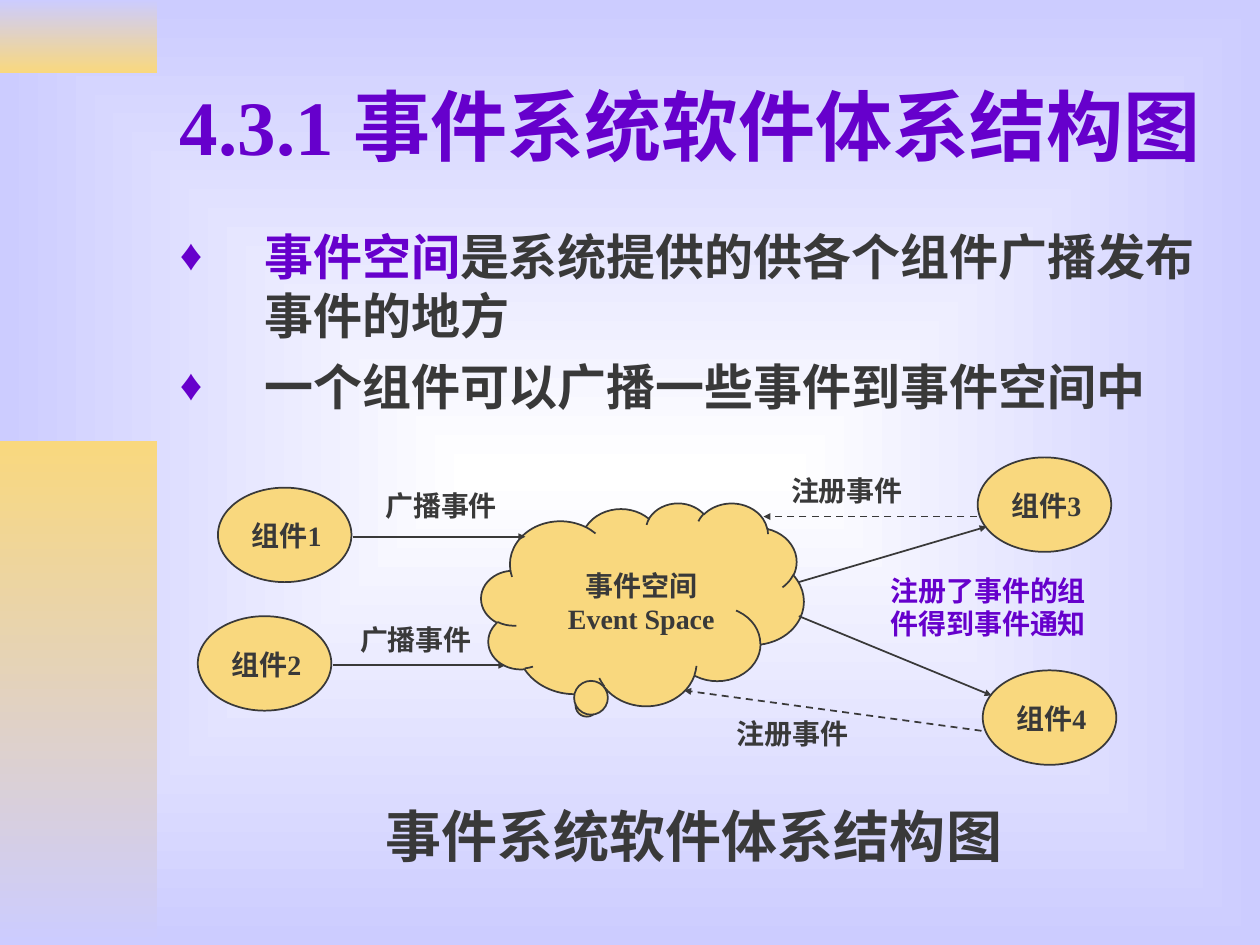
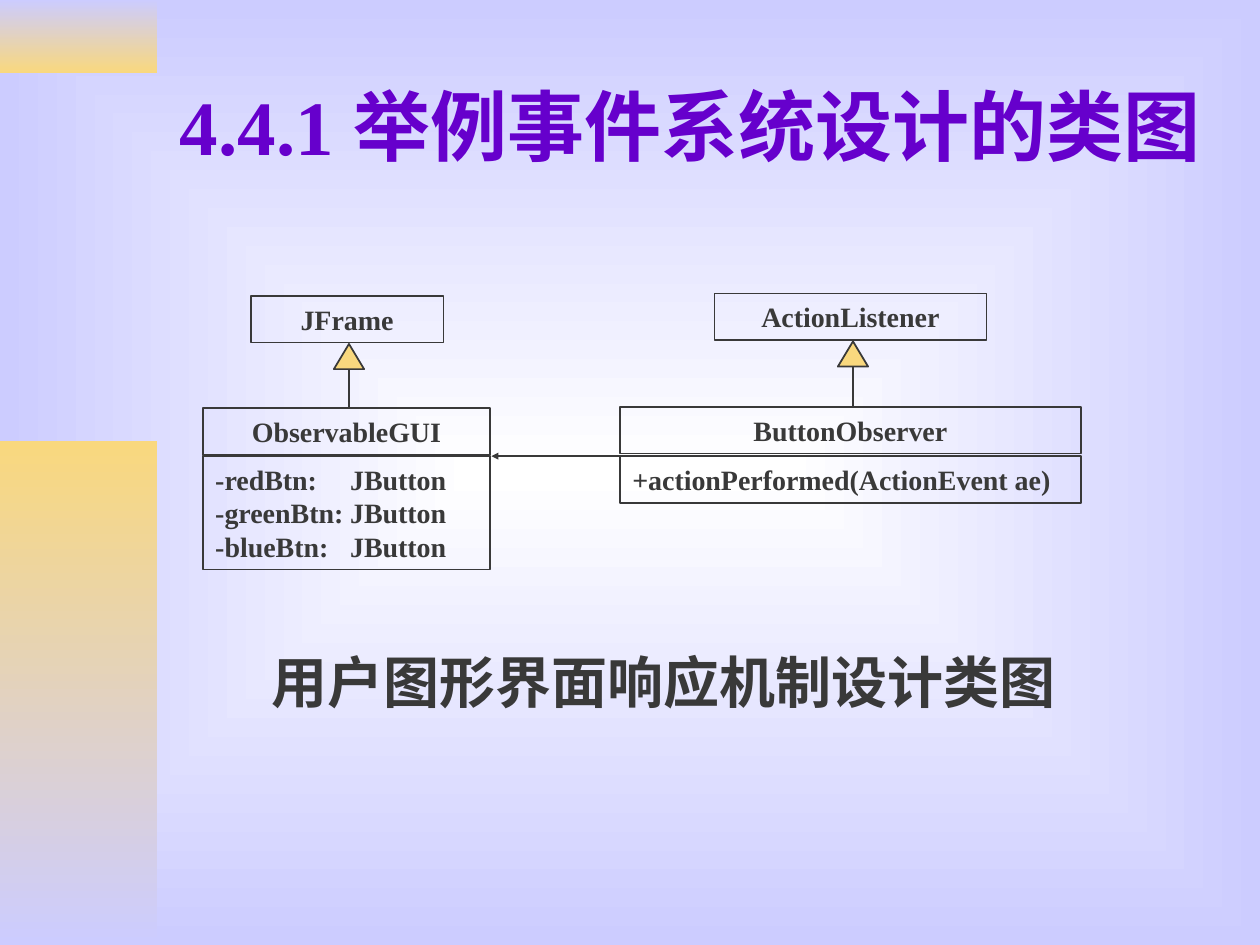
from dataclasses import dataclass

from lxml import etree
from pptx import Presentation
from pptx import util as u
from pptx.dml.color import RGBColor
from pptx.enum import dml, shapes, text as t
from pptx.oxml.ns import qn


@dataclass(frozen=True)
class Theme:
    font: str = "Times New Roman"
    ink: str = "393939"
    accent: str = "6600CC"
    gold: str = "F9D87E"
    lilac: str = "CCCCFF"
    white: str = "FFFFFF"
    title: int = 44
    caption: int = 32
    body: int = 28
    label: int = 16
    line: int = 1


THEME = Theme()

BANDS = [
    ((0, 0, 1.25, 0.58), (THEME.lilac, THEME.gold)),
    ((0, 3.5, 1.25, 4), (THEME.gold, THEME.lilac)),
]
TITLE_AREA = (1.33, 0.33, 8.5, 1.32)

EVENT_PAGE = {
    "title": "4.3.1 事件系统软件体系结构图",
    "caption": ("事件系统软件体系结构图", (1.26, 6.31, 8.5, 0.75)),
}
BULLETS = [
    [("事件空间", THEME.accent), ("是系统提供的供各个组件广播发布事件的地方", THEME.ink)],
    "一个组件可以广播一些事件到事件空间中",
]
BULLET_AREA = (1.33, 1.75, 8.5, 1.76)
CLOUD_AREA = (3.82, 3.99, 2.56, 1.61)
CLOUD_POINTER = (-0.169, 0.488)
CLOUD_TEXT = ["事件空间", "Event Space"]
CLOUD_TEXT_AREA = (4.29, 4.46, 1.6, 0.64)
COMPONENT_SIZE = (1.06, 0.75)
COMPONENTS = [
    ("组件1", 1.73, 3.87),
    ("组件2", 1.57, 4.89),
    ("组件3", 7.76, 3.63),
    ("组件4", 7.8, 5.32),
]
EVENT_ARROWS = [
    ((2.8, 4.26), (4.17, 4.26), False),
    ((2.64, 5.28), (4.01, 5.28), False),
    ((7.75, 4.1), (6.06, 4.1), True),
    ((6.34, 4.62), (7.83, 4.18), False),
    ((6.34, 4.89), (7.87, 5.52), False),
    ((7.79, 5.8), (5.43, 5.48), True),
]
EVENT_LABELS = [
    ("广播事件", (2.96, 3.83, 1.2, 0.37), THEME.ink),
    ("广播事件", (2.76, 4.89, 1.2, 0.37), THEME.ink),
    ("注册事件", (6.18, 3.71, 1.58, 0.37), THEME.ink),
    ("注册事件", (5.75, 5.64, 1.58, 0.37), THEME.ink),
    ("注册了事件的组件得到事件通知", (6.97, 4.5, 1.81, 0.64), THEME.accent),
]

CLASS_PAGE = {
    "title": "4.4.1 举例事件系统设计的类图",
    "caption": ("用户图形界面响应机制设计类图", (1.02, 5.09, 8.5, 0.98)),
}
HEADER_HEIGHT = 0.37
MEMBER_TOP = 3.62
FAMILIES = [
    {
        "parent": ("JFrame", 1.99, 2.35, 1.53),
        "child": ("ObservableGUI", 1.61, 3.24, 2.28),
        "members": ["-redBtn:\tJButton", "-greenBtn:\tJButton", "-blueBtn:\tJButton"],
        "height": 0.9,
    },
    {
        "parent": ("ActionListener", 5.67, 2.33, 2.16),
        "child": ("ButtonObserver", 4.92, 3.23, 3.66),
        "members": ["+actionPerformed(ActionEvent ae)"],
        "height": 0.37,
    },
]
OBSERVER_ARROW = ((4.92, MEMBER_TOP), (3.9, MEMBER_TOP))


def color(value):
    return RGBColor.from_string(value)


def add_xml(parent, tag, **attributes):
    return etree.SubElement(parent, qn(tag), attributes)


def write(box, content, size=THEME.label, ink=THEME.ink, align=t.PP_ALIGN.LEFT,
          anchor=t.MSO_ANCHOR.TOP, gap=0, bullet=None, tab=None):
    frame = box.text_frame
    frame.word_wrap = True
    frame.vertical_anchor = anchor
    lines = [content] if isinstance(content, str) else content
    for index, line in enumerate(lines):
        para = frame.add_paragraph() if index else frame.paragraphs[0]
        para.alignment = align
        para.space_before = u.Pt(gap if index else 0)
        properties = para._p.get_or_add_pPr()
        if bullet:
            hang = u.Inches(0.67)
            properties.set("marL", str(hang))
            properties.set("indent", str(-hang))
            add_xml(add_xml(properties, "a:buClr"), "a:srgbClr", val=THEME.accent)
            add_xml(properties, "a:buSzPct", val="90000")
            add_xml(properties, "a:buFont", typeface=THEME.font)
            add_xml(properties, "a:buChar", char=bullet)
        if tab:
            stops = add_xml(properties, "a:tabLst")
            add_xml(stops, "a:tab", pos=str(u.Inches(tab)), algn="l")
        for words, shade in [(line, ink)] if isinstance(line, str) else line:
            span = para.add_run()
            span.text = words
            span.font.name = THEME.font
            span.font.size = u.Pt(size)
            span.font.bold = True
            span.font.color.rgb = color(shade)


def add_text(page, content, area, **style):
    box = page.shapes.add_textbox(*map(u.Inches, area))
    write(box, content, **style)


def add_figure(page, kind, area, fill=THEME.gold):
    figure = page.shapes.add_shape(kind, *map(u.Inches, area))
    figure.shadow.inherit = False
    if fill:
        figure.fill.solid()
        figure.fill.fore_color.rgb = color(fill)
    else:
        figure.fill.background()
    figure.line.color.rgb = color(THEME.ink)
    figure.line.width = u.Pt(THEME.line)
    return figure


def add_line(page, start, end, arrow=True, dashed=False):
    line = page.shapes.add_connector(
        shapes.MSO_CONNECTOR.STRAIGHT, *map(u.Inches, start + end))
    line.line.color.rgb = color(THEME.ink)
    line.line.width = u.Pt(THEME.line)
    if dashed:
        line.line.dash_style = dml.MSO_LINE.DASH
    if arrow:
        add_xml(line.line._get_or_add_ln(), "a:tailEnd",
                type="triangle", w="sm", len="sm")
    add_xml(line.element.spPr, "a:effectLst")


def set_gradient(fill, shades):
    fill.gradient()
    for stop, shade in zip(fill.gradient_stops, shades):
        stop.color.rgb = color(shade)


def add_page(deck, title, caption):
    page = deck.slides.add_slide(deck.slide_layouts[6])
    set_gradient(page.background.fill, (THEME.white, THEME.lilac))
    gradient = page.element.find(".//" + qn("a:gradFill"))
    gradient.remove(gradient.find(qn("a:lin")))
    center = add_xml(gradient, "a:path", path="rect")
    add_xml(center, "a:fillToRect", **dict.fromkeys("ltrb", "50000"))
    for area, shades in BANDS:
        band = add_figure(page, shapes.MSO_SHAPE.RECTANGLE, area)
        set_gradient(band.fill, shades)
        band.fill.gradient_angle = 270
        band.line.fill.background()
    add_text(page, title, TITLE_AREA, size=THEME.title, ink=THEME.accent,
             anchor=t.MSO_ANCHOR.MIDDLE)
    words, area = caption
    add_text(page, words, area, size=THEME.caption, align=t.PP_ALIGN.CENTER)
    return page


def build_event_page(deck):
    page = add_page(deck, **EVENT_PAGE)
    add_text(page, BULLETS, BULLET_AREA, size=THEME.body, gap=7, bullet="♦")
    cloud = add_figure(page, shapes.MSO_SHAPE.CLOUD_CALLOUT, CLOUD_AREA)
    for index, value in enumerate(CLOUD_POINTER):
        cloud.adjustments[index] = value
    add_text(page, CLOUD_TEXT, CLOUD_TEXT_AREA, align=t.PP_ALIGN.CENTER)
    for name, left, top in COMPONENTS:
        add_figure(page, shapes.MSO_SHAPE.OVAL, (left, top, *COMPONENT_SIZE))
        add_text(page, name, (left + 0.17, top + 0.2, 0.9, 0.37))
    for start, end, dashed in EVENT_ARROWS:
        add_line(page, start, end, dashed=dashed)
    for words, area, ink in EVENT_LABELS:
        add_text(page, words, area, ink=ink)


def build_class_page(deck):
    page = add_page(deck, **CLASS_PAGE)
    for family in FAMILIES:
        for name, left, top, width in (family["parent"], family["child"]):
            header = add_figure(page, shapes.MSO_SHAPE.RECTANGLE,
                                (left, top, width, HEADER_HEIGHT), fill=None)
            write(header, name, align=t.PP_ALIGN.CENTER)
        members = add_figure(page, shapes.MSO_SHAPE.RECTANGLE,
                             (left, MEMBER_TOP, width, family["height"]), fill=None)
        write(members, family["members"], tab=1.07)
        center = left + width / 2 + 0.02
        tip = family["parent"][2] + HEADER_HEIGHT + 0.01
        add_line(page, (center, tip + 0.19), (center, top), arrow=False)
        add_figure(page, shapes.MSO_SHAPE.ISOSCELES_TRIANGLE,
                   (center - 0.12, tip, 0.24, 0.2))
    add_line(page, *OBSERVER_ARROW)


def main():
    deck = Presentation()
    deck.slide_width, deck.slide_height = u.Inches(10), u.Inches(7.5)
    build_event_page(deck)
    build_class_page(deck)
    deck.save("out.pptx")


if __name__ == "__main__":
    main()
